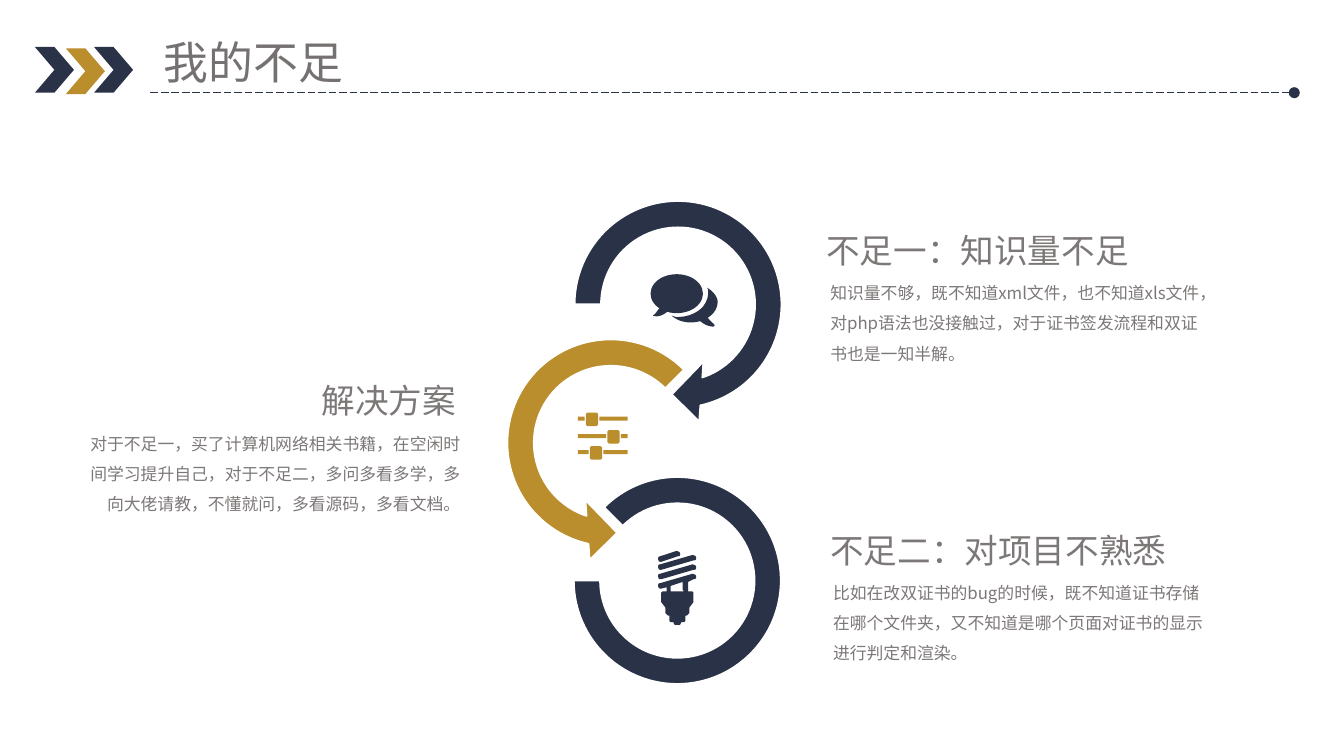
from lxml import etree
from pptx import Presentation
from pptx.dml.color import RGBColor
from pptx.enum.dml import MSO_LINE_DASH_STYLE as DASH
from pptx.enum.shapes import MSO_CONNECTOR, MSO_SHAPE as SHAPE
from pptx.enum.text import MSO_ANCHOR, MSO_AUTO_SIZE, PP_ALIGN
from pptx.oxml.ns import qn
from pptx.util import Inches, Pt

NAVY, GOLD, WHITE = "293247", "BA8D2D", "FFFFFF"
TITLE_GRAY, TEXT_GRAY = "767171", "7D7878"
FONT = "Noto Sans CJK SC"
UNITS = 1000  # outline units per inch
CURVE_STEPS = 8

# (top of heading, left of heading, left of body, alignment, heading, body)
SECTIONS = [
    (1.51, 6.05, 6.08, PP_ALIGN.LEFT, "不足一：知识量不足",
     "知识量不够，既不知道xml文件，也不知道xls文件，对php语法也没接触过，"
     "对于证书签发流程和双证书也是一知半解。"),
    (3.74, 6.08, 6.1, PP_ALIGN.LEFT, "不足二：对项目不熟悉",
     "比如在改双证书的bug的时候，既不知道证书存储在哪个文件夹，"
     "又不知道是哪个页面对证书的显示进行判定和渲染。"),
    (2.63, 0.49, 0.52, PP_ALIGN.RIGHT, "解决方案",
     "对于不足一，买了计算机网络相关书籍，在空闲时间学习提升自己，对于不足二，"
     "多问多看多学，多向大佬请教，不懂就问，多看源码，多看文档。"),
]
RINGS = [
    (SHAPE.CIRCULAR_ARROW, 4.15, 1.37, 1.79, NAVY, (0.11, 11.42, 45, 108, 0.125)),
    (SHAPE.LEFT_CIRCULAR_ARROW, 3.65, 2.4, 1.79, GOLD, (0.11, 11.42, 63, 189, 0.125)),
    (SHAPE.BLOCK_ARC, 4.27, 3.55, 1.54, NAVY, (135, 108, 0.127)),
]
# An outline is a list of points (x, y) and curves (x1, y1, x2, y2, x, y).
BUBBLE_OUTLINES = [
    [(5.26, 2.14), (5.27, 2.15, 5.27, 2.17, 5.27, 2.18), (5.27, 2.28, 5.17, 2.36, 5.04, 2.36),
     (5.02, 2.36, 5.01, 2.35, 5, 2.35), (5.03, 2.38, 5.08, 2.4, 5.14, 2.4),
     (5.25, 2.4, 5.34, 2.33, 5.34, 2.25), (5.34, 2.21, 5.31, 2.17, 5.26, 2.14)],
    [(4.93, 2.26), (4.91, 2.29, 4.88, 2.33, 4.87, 2.34), (4.85, 2.35, 4.86, 2.35, 4.87, 2.35),
     (4.89, 2.36, 4.95, 2.35, 4.99, 2.29), (5.03, 2.23, 4.93, 2.26, 4.93, 2.26)],
    [(5.25, 2.33), (5.26, 2.37, 5.3, 2.4, 5.31, 2.41), (5.32, 2.42, 5.32, 2.43, 5.3, 2.43),
     (5.29, 2.43, 5.23, 2.42, 5.19, 2.37), (5.15, 2.31, 5.25, 2.33, 5.25, 2.33)],
]
BULB_CENTER = 5.04
BULB_LEFT_SIDE = [
    (4.96, 4.4), (4.93, 4.4), (4.92, 4.41), (4.92, 4.48), (4.95, 4.52), (4.95, 4.56),
    (4.97, 4.58), (4.98, 4.58), (4.98, 4.62), (4.99, 4.63), (5.01, 4.63), (5.02, 4.65),
]
BULB_WINDOW = [(4.99, 4.36), (5.08, 4.33), (5.08, 4.39), (5.09, 4.4), (4.99, 4.4)]
SLIDERS = [(4.36, 3.07), (4.52, 3.2), (4.39, 3.32)]  # left and top of each knob


def color(value):
    return RGBColor.from_string(value)


def paint(shape, fill, outline=None):
    shape.shadow.inherit = False
    shape.fill.solid()
    shape.fill.fore_color.rgb = color(fill)
    if outline:
        shape.line.color.rgb = color(outline)
        shape.line.width = Pt(1)
    else:
        shape.line.fill.background()


def add_preset(shapes, kind, left, top, width, height, fill, outline=None, adjustments=()):
    shape = shapes.add_shape(kind, Inches(left), Inches(top), Inches(width), Inches(height))
    for index, value in enumerate(adjustments):
        shape.adjustments[index] = value
    paint(shape, fill, outline)


def flatten(outline):
    """Turn an outline into whole-unit points, sampling its cubic curves."""
    points = []
    for step in outline:
        if len(step) == 2:
            points.append(step)
            continue
        controls = [points[-1], step[:2], step[2:4], step[4:]]
        for index in range(1, CURVE_STEPS + 1):
            t = index / CURVE_STEPS
            weights = ((1 - t) ** 3, 3 * t * (1 - t) ** 2, 3 * t * t * (1 - t), t ** 3)
            points.append(tuple(sum(weight * control[axis]
                                    for weight, control in zip(weights, controls))
                                for axis in (0, 1)))
    return [(round(x * UNITS), round(y * UNITS)) for x, y in points]


def add_outlines(shapes, outlines, fill):
    """Draw one freeform made of closed outlines."""
    first, *others = [flatten(outline) for outline in outlines]
    builder = shapes.build_freeform(*first[0], scale=Inches(1) / UNITS)
    builder.add_line_segments(first[1:], close=True)
    for points in others:
        builder.move_to(*points[0])
        builder.add_line_segments(points[1:], close=True)
    paint(builder.convert_to_shape(), fill)


def format_text(shape, text, size, text_color, alignment=PP_ALIGN.LEFT, spacing=1.0, wrap=True):
    frame = shape.text_frame
    frame.text = text
    paragraph = frame.paragraphs[0]
    font = paragraph.runs[0].font
    formats = [
        (frame, {"word_wrap": wrap, "auto_size": MSO_AUTO_SIZE.SHAPE_TO_FIT_TEXT,
                 "vertical_anchor": MSO_ANCHOR.TOP}),
        (paragraph, {"alignment": alignment, "line_spacing": spacing}),
        (font, {"size": Pt(size), "name": FONT}),
    ]
    for target, values in formats:
        for name, value in values.items():
            setattr(target, name, value)
    font.color.rgb = color(text_color)
    properties = paragraph.runs[0]._r.get_or_add_rPr()
    etree.SubElement(properties, qn("a:ea")).set("typeface", FONT)


def add_text(slide, left, top, width, height, *text_format):
    box = slide.shapes.add_textbox(Inches(left), Inches(top), Inches(width), Inches(height))
    format_text(box, *text_format)


def add_header(slide):
    for left, top, fill in [(0.49, 0.36, GOLD), (0.7, 0.35, NAVY), (0.26, 0.35, NAVY)]:
        add_preset(slide.shapes, SHAPE.CHEVRON, left, top, 0.29, 0.34, fill)
    rule = slide.shapes.add_connector(
        MSO_CONNECTOR.STRAIGHT, Inches(1.12), Inches(0.69), Inches(9.63), Inches(0.69))
    rule.line.color.rgb = color(NAVY)
    rule.line.width = Pt(0.5)
    rule.line.dash_style = DASH.LONG_DASH
    etree.SubElement(rule.line._get_or_add_ln(), qn("a:tailEnd")).set("type", "oval")
    etree.SubElement(rule._element.spPr, qn("a:effectLst"))
    title = slide.shapes.title
    bounds = {"left": 1.12, "top": 0.21, "width": 1.53, "height": 0.5}
    for name, value in bounds.items():
        setattr(title, name, Inches(value))
    format_text(title, "我的不足", 24, TITLE_GRAY, PP_ALIGN.LEFT, 1.0, False)
    title.text_frame.margin_right = 0


def add_bubbles_icon(slide):
    group = slide.shapes.add_group_shape()
    back, *tails = BUBBLE_OUTLINES
    add_outlines(group.shapes, [back], NAVY)
    add_preset(group.shapes, SHAPE.OVAL, 4.84, 2.04, 0.39, 0.29, NAVY)
    for tail in tails:
        add_outlines(group.shapes, [tail], NAVY)


def coil_ends(top, right=5.18, rise=0.07):
    """Return the left and right ends of one slanted, round-ended coil."""
    low = top + rise
    left_end = [(4.91, low), (4.9, low, 4.89, low + 0.01, 4.9, low + 0.03),
                (4.9, low + 0.04, 4.91, low + 0.04, 4.92, low + 0.04)]
    right_end = [(right - 0.02, top + 0.04),
                 (right, top + 0.04, right, top + 0.03, right, top + 0.02),
                 (right, top + 0.01, right - 0.01, top, right - 0.03, top)]
    return left_end, right_end


def add_bulb_icon(slide):
    group = slide.shapes.add_group_shape()
    left_end, right_end = coil_ends(4.27)
    right_side = [(2 * BULB_CENTER - x, y) for x, y in reversed(BULB_LEFT_SIDE)]
    base = left_end + [(4.96, 4.37)] + BULB_LEFT_SIDE + right_side + [(5.12, 4.33)] + right_end
    add_outlines(group.shapes, [base, BULB_WINDOW], NAVY)
    for left_end, right_end in (coil_ends(4.2), coil_ends(4.13), coil_ends(4.1, 5.06, 0.04)):
        add_outlines(group.shapes, [left_end + right_end], NAVY)


def box_outline(left, top, right, bottom, cut=0.0):
    """Return a rectangle with its corners cut off."""
    return [(left + cut, top), (right - cut, top), (right, top + cut), (right, bottom - cut),
            (right - cut, bottom), (left + cut, bottom), (left, bottom - cut), (left, top + cut)]


def add_sliders_icon(slide):
    outlines = []
    for left, top in SLIDERS:
        bar_top, bar_bottom = top + 0.03, top + 0.06
        outlines += [box_outline(4.3, bar_top, left - 0.01, bar_bottom),
                     box_outline(left, top, left + 0.09, top + 0.1, 0.01),
                     box_outline(left + 0.1, bar_top, 4.67, bar_bottom)]
    add_outlines(slide.shapes, outlines, GOLD)


def add_section(slide, top, heading_left, body_left, alignment, heading, body):
    add_text(slide, body_left, top + 0.47, 3, 0.78, body, 9, TEXT_GRAY, alignment, 1.5)
    add_text(slide, heading_left, top, 3, 0.55, heading, 18, TEXT_GRAY, alignment, 1.5)


def main():
    presentation = Presentation()
    presentation.slide_width = Inches(10)
    presentation.slide_height = Inches(10) * 9 // 16
    slide = presentation.slides.add_slide(presentation.slide_layouts[5])
    add_header(slide)
    for kind, left, top, size, fill, adjustments in RINGS:
        add_preset(slide.shapes, kind, left, top, size, size, fill, WHITE, adjustments)
    add_bubbles_icon(slide)
    add_bulb_icon(slide)
    add_sliders_icon(slide)
    for section in SECTIONS:
        add_section(slide, *section)
    presentation.save("out.pptx")


if __name__ == "__main__":
    main()
